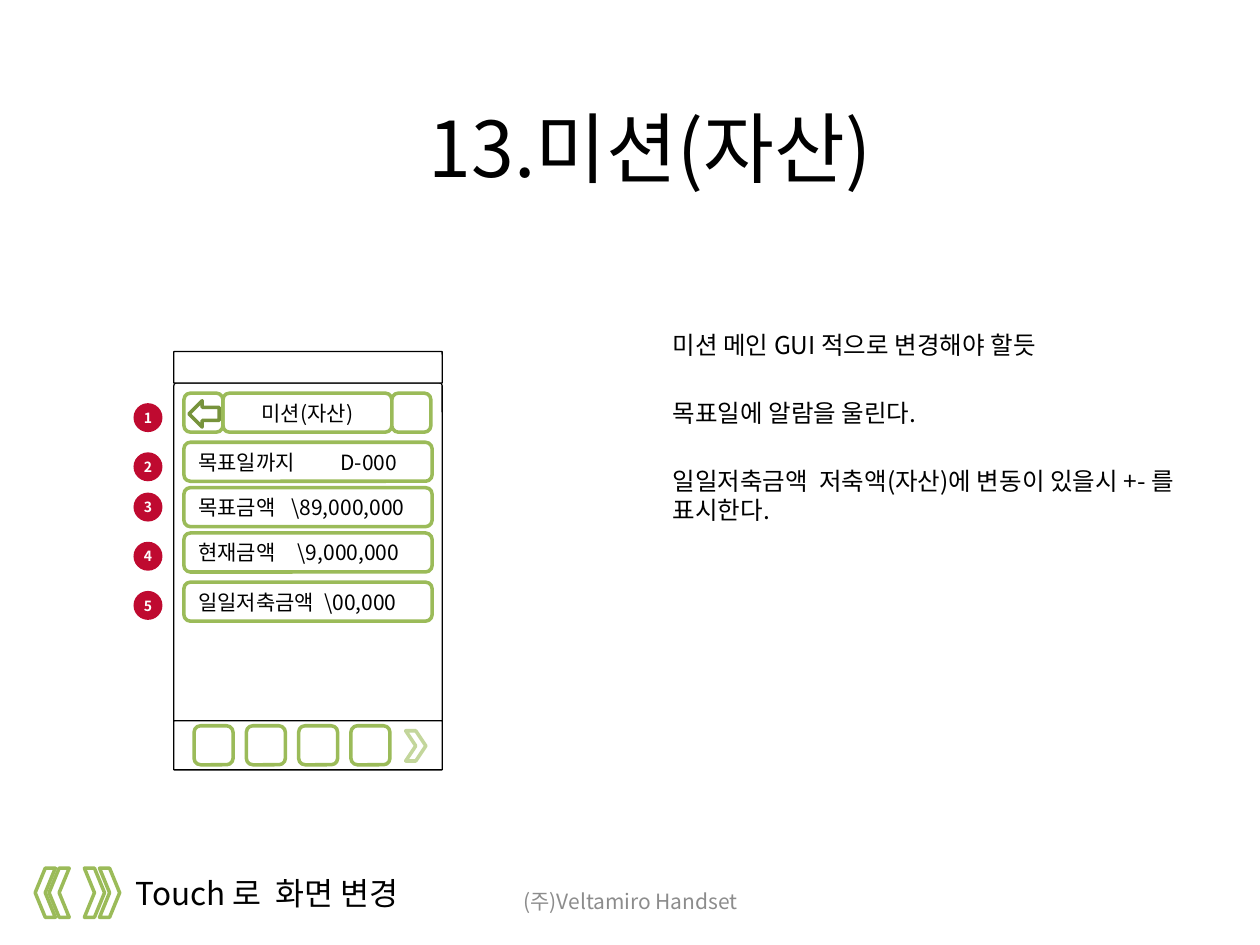
from pptx import Presentation
from pptx.dml.color import RGBColor
from pptx.enum.shapes import MSO_SHAPE
from pptx.enum.text import MSO_ANCHOR, PP_ALIGN
from pptx.oxml.ns import qn
from pptx.util import Inches, Pt
from lxml import etree

ROUNDED, OVAL = MSO_SHAPE.ROUNDED_RECTANGLE, MSO_SHAPE.OVAL
CHEVRON, ARROW = MSO_SHAPE.CHEVRON, MSO_SHAPE.RIGHT_ARROW
LEFT, CENTER = PP_ALIGN.LEFT, PP_ALIGN.CENTER
TOP, MIDDLE = MSO_ANCHOR.TOP, MSO_ANCHOR.MIDDLE

# The page is a grid of 100 columns by 75 rows; boxes are (column, row, width, height)
CELL = Inches(0.1)
FONT = "Noto Sans CJK KR"
WHITE, BLACK, GREY, RED = "FFFFFF", "000000", "8C8C8C", "BF0A30"
GREEN, PALE_GREEN, DARK_GREEN = "9BBB59", "C3D69B", "77933C"
BUTTON = 3.1


def color(hex_code):
    return RGBColor.from_string(hex_code)


def cells(*lengths):
    return [round(length * CELL) for length in lengths]


def inside(box, column, row, width, height):
    """Place a part relative to the top left corner of a box."""
    return box[0] + column, box[1] + row, width, height


def write(shape, lines, size, ink=BLACK, align=LEFT, anchor=MIDDLE, bold=False,
          margins=(1, 0.5), wrap=True, gap=0, tab=None):
    frame = shape.text_frame
    frame.word_wrap = wrap
    frame.vertical_anchor = anchor
    frame.margin_left = frame.margin_right = cells(margins[0])[0]
    frame.margin_top = frame.margin_bottom = cells(margins[1])[0]
    frame.text = "\n".join(lines)
    for para in frame.paragraphs:
        para.alignment = align
        para.space_after = Pt(gap)
        font = para.font
        font.name, font.size, font.bold = FONT, Pt(size), bold
        font.color.rgb = color(ink)
        properties = para._p.get_or_add_pPr()
        defaults = properties.find(qn("a:defRPr"))
        # Hangul takes the East Asian typeface
        defaults.find(qn("a:latin")).addnext(
            etree.Element(qn("a:ea"), typeface=FONT))
        if tab:
            stops = etree.Element(qn("a:tabLst"))
            etree.SubElement(stops, qn("a:tab"), pos=str(cells(tab)[0]), algn="l")
            defaults.addprevious(stops)


def add_text(page, box, lines, size, **style):
    write(page.shapes.add_textbox(*cells(*box)), lines, size, **style)


def add_part(page, kind, box, line=GREEN, weight=2, fill=WHITE, corner=None,
             flip=False):
    part = page.shapes.add_shape(kind, *cells(*box))
    part.shadow.inherit = False
    part.fill.solid()
    part.fill.fore_color.rgb = color(fill)
    if line:
        part.line.color.rgb = color(line)
        part.line.width = Pt(weight)
    else:
        part.line.fill.background()
    if corner is not None:
        part.adjustments[0] = corner
    if flip:
        part._element.spPr.find(qn("a:xfrm")).set("flipH", "1")
    return part


def add_phone(page, box):
    width = box[2]
    # Screen, bottom bar and status bar
    for row, height in ((2.5, 27), (29.3, 3.9), (0, 2.5)):
        add_part(page, ROUNDED, inside(box, 0, row, width, height),
                 BLACK, 0.75, corner=0.01)

    # Bottom buttons
    for index in range(4):
        add_part(page, ROUNDED,
                 inside(box, 1.6 + index * 4.15, 29.7, BUTTON, BUTTON))
    add_part(page, CHEVRON, inside(box, 18.4, 30.1, 1.6, 2.4), PALE_GREEN)

    # Heading with a button on each side
    heading = add_part(page, ROUNDED, inside(box, 3.9, 3.3, 13.4, BUTTON))
    write(heading, ["미션(자산)"], 12, align=CENTER, margins=(0, 0.5))
    for column in (0.8, 17.3):
        add_part(page, ROUNDED, inside(box, column, 3.3, BUTTON, BUTTON))
    add_part(page, ARROW, inside(box, 1.2, 3.9, 2.4, 2.1), DARK_GREEN, flip=True)

    # Rows of label and value: (row, label, value, column of the value)
    for row, label, value, tab in ((7.2, "목표일까지", "D-000", 11.3),
                                   (10.8, "목표금액", "\\89,000,000", 7.4),
                                   (14.4, "현재금액", "\\9,000,000", 7.9),
                                   (18.3, "일일저축금액", "\\00,000", 10)):
        entry = add_part(page, ROUNDED, inside(box, 0.8, row, 19.7, BUTTON))
        write(entry, [f"{label}\t{value}"], 12, tab=tab)

    # Numbered badges to the left of the screen
    for number, row in enumerate((4.1, 8, 11.2, 15.1, 19), 1):
        badge = add_part(page, OVAL, inside(box, -3.2, row, 2.3, 2.3),
                         line=None, fill=RED)
        write(badge, [str(number)], 8, ink=WHITE, align=CENTER, bold=True,
              margins=(0, 0), wrap=False)


def add_touch_legend(page, box):
    for column, flip in ((3.9, False), (5.1, False), (1.1, True), (0, True)):
        add_part(page, CHEVRON, inside(box, column, 0, 1.6, box[3]), flip=flip)
    add_text(page, inside(box, 7, 0, 24.9, 4), ["Touch 로  화면 변경"], 18,
             anchor=TOP, wrap=False)


def add_notes_column(page, box):
    add_text(page, box, ["미션 메인 GUI 적으로 변경해야 할듯",
                         "목표일에 알람을 울린다.",
                         "일일저축금액  저축액(자산)에 변동이 있을시 +- 를 표시한다."],
             14, anchor=TOP, gap=22)


deck = Presentation()
deck.slide_width, deck.slide_height = cells(100, 75)
page = deck.slides.add_slide(deck.slide_layouts[6])

add_text(page, (9.1, 3.6, 85, 16.1), ["13.미션(자산)"], 44, align=CENTER)
add_phone(page, (13.8, 27.9, 21.3, 33.2))
add_touch_legend(page, (2.8, 68.9, 31.9, 3.9))
add_text(page, (34.2, 69.5, 31.7, 4), ["(주)Veltamiro Handset"], 12,
         ink=GREY, align=CENTER)
add_notes_column(page, (52.4, 25.7, 46.5, 37))

deck.save("out.pptx")
